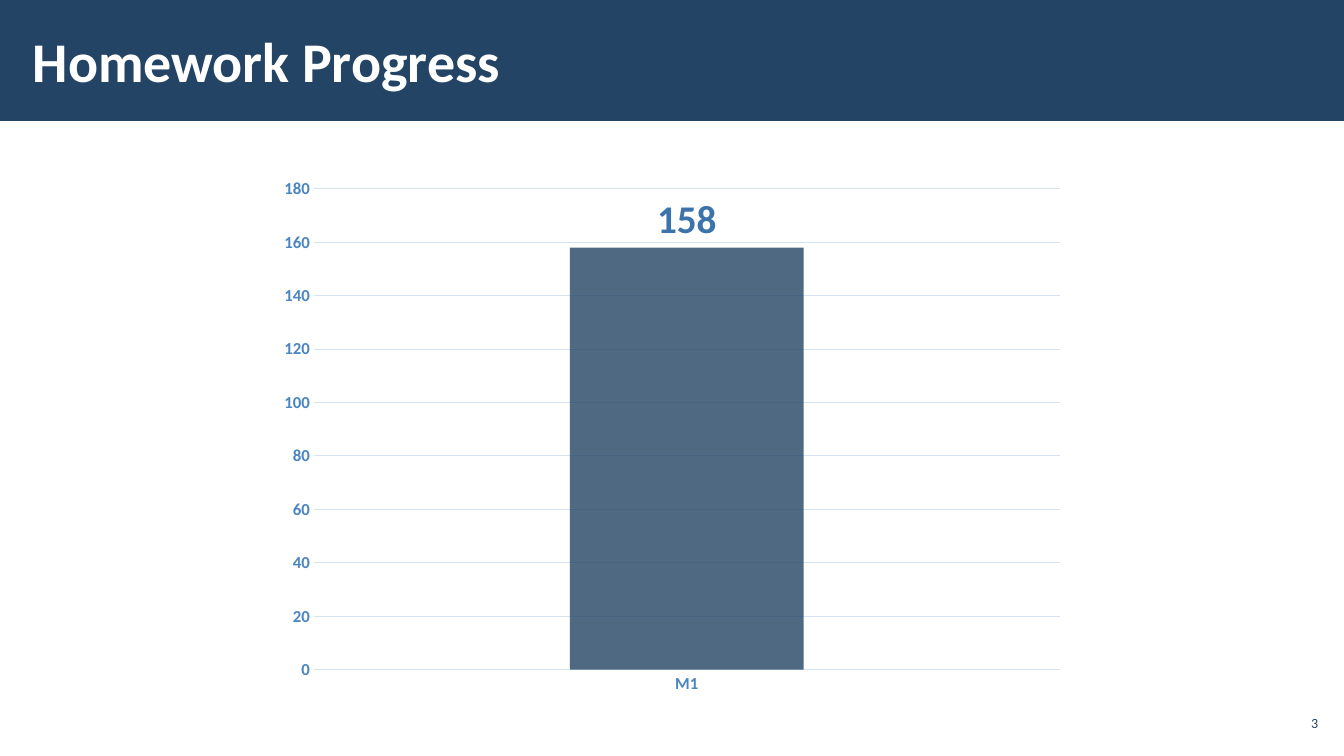
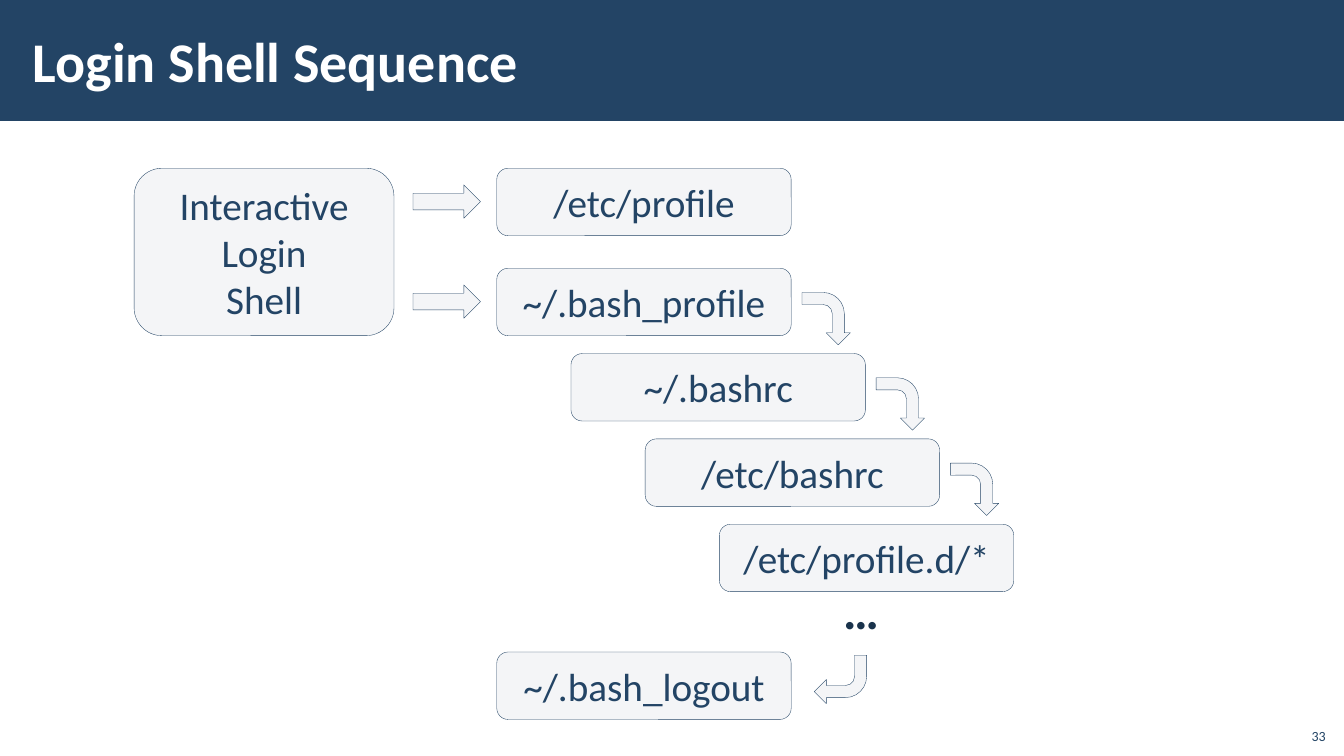
import dataclasses

import lxml.etree
import pptx
import pptx.chart.data
import pptx.dml.color
import pptx.enum.chart
import pptx.enum.shapes
import pptx.enum.text
import pptx.oxml.ns
import pptx.util

Cm = pptx.util.Cm
Pt = pptx.util.Pt
Color = pptx.dml.color.RGBColor.from_string
Shape = pptx.enum.shapes.MSO_SHAPE
Anchor = pptx.enum.text.MSO_ANCHOR
Align = pptx.enum.text.PP_ALIGN


@dataclasses.dataclass(frozen=True)
class Theme:
    font: str = "Calibri"
    navy: str = "234465"
    ink: str = "1A334C"
    white: str = "FFFFFF"
    panel: str = "F4F5F7"
    axis: str = "4A85C0"
    grid: str = "D5E3F1"
    value: str = "3B73AA"
    title_size: int = 40
    dots_size: int = 36
    body_size: int = 28
    axis_size: int = 12
    number_size: int = 10


theme = Theme()


def add_shape(slide, kind, left, top, width, height, fill, line=None):
    shape = slide.shapes.add_shape(kind, Cm(left), Cm(top), Cm(width), Cm(height))
    shape.shadow.inherit = False
    shape.fill.solid()
    shape.fill.fore_color.rgb = Color(fill)
    if line:
        shape.line.color.rgb = Color(line)
        shape.line.width = Pt(0.25)
    else:
        shape.line.fill.background()
    return shape


def write(shape, lines, size, color, align, anchor, bold=False, wrap=True):
    frame = shape.text_frame
    frame.word_wrap = wrap
    frame.vertical_anchor = anchor
    for index, line in enumerate(lines):
        paragraph = frame.add_paragraph() if index else frame.paragraphs[0]
        paragraph.alignment = align
        run = paragraph.add_run()
        run.text = line
        run.font.name = theme.font
        run.font.size = Pt(size)
        run.font.bold = bold
        run.font.color.rgb = Color(color)


presentation = pptx.Presentation()
presentation.slide_width = Cm(33.87)
presentation.slide_height = Cm(19.05)
blank_layout = presentation.slide_layouts[6]

pages = [
    ("Homework Progress", "3", (32.13, 17.78, 1.19, 0.86), Anchor.MIDDLE, 0.1),
    ("Login Shell Sequence", "33", (32.64, 18.08, 1.02, 0.81), Anchor.BOTTOM, 0.25),
]
slides = []
for title, number, number_place, number_anchor, number_inset in pages:
    slide = presentation.slides.add_slide(blank_layout)
    add_shape(slide, Shape.RECTANGLE, 0, 0, 33.87, 3.05, theme.navy)
    title_box = slide.shapes.add_textbox(Cm(0.53), Cm(0.28), Cm(27), Cm(2.46))
    title_box.text_frame.margin_left = title_box.text_frame.margin_right = Cm(0.3)
    write(title_box, [title], theme.title_size, theme.white, Align.LEFT, Anchor.MIDDLE, bold=True)
    number_box = slide.shapes.add_textbox(*map(Cm, number_place))
    number_box.text_frame.margin_left = number_box.text_frame.margin_right = Cm(number_inset)
    write(number_box, [number], theme.number_size, theme.navy, Align.RIGHT, number_anchor)
    slides.append(slide)
progress_slide, shell_slide = slides

chart_data = pptx.chart.data.CategoryChartData()
chart_data.categories = ["M1"]
chart_data.add_series("Series 1", [158])
chart = progress_slide.shapes.add_chart(
    pptx.enum.chart.XL_CHART_TYPE.COLUMN_CLUSTERED,
    Cm(6.76), Cm(4.24), Cm(20.35), Cm(13.51), chart_data,
).chart
chart.has_legend = False
chart.has_title = False
chart.font.name = theme.font
chart.font.size = Pt(theme.number_size)
chart.font.color.rgb = Color(theme.navy)

for axis in (chart.category_axis, chart.value_axis):
    axis.major_tick_mark = pptx.enum.chart.XL_TICK_MARK.NONE
    axis.minor_tick_mark = pptx.enum.chart.XL_TICK_MARK.NONE
    font = axis.tick_labels.font
    font.name = theme.font
    font.size = Pt(theme.axis_size)
    font.bold = True
    font.color.rgb = Color(theme.axis)
chart.value_axis.minimum_scale = 0
chart.value_axis.maximum_scale = 180
chart.value_axis.major_unit = 20
chart.value_axis.format.line.fill.background()
for line in (chart.category_axis.format.line, chart.value_axis.major_gridlines.format.line):
    line.color.rgb = Color(theme.grid)
    line.width = Pt(0.75)

plot = chart.plots[0]
plot.vary_by_categories = False
plot.gap_width = 219
plot.overlap = -27
series = plot.series[0]
series.format.fill.solid()
series.format.fill.fore_color.rgb = Color(theme.navy)
series_color = series.format.fill._xPr.find(".//" + pptx.oxml.ns.qn("a:srgbClr"))
lxml.etree.SubElement(series_color, pptx.oxml.ns.qn("a:alpha"), val="80000")
labels = series.data_labels
labels.show_value = True
labels.position = pptx.enum.chart.XL_LABEL_POSITION.OUTSIDE_END
labels.font.name = theme.font
labels.font.size = Pt(theme.body_size)
labels.font.bold = True
labels.font.color.rgb = Color(theme.value)

file_left, file_width, file_height = 12.52, 7.42, 1.7
profile_top, cascade_top, logout_top = 4.24, 6.76, 16.43
step_right, step_down = 1.87, 2.15
bend_width, bend_height = 1.32, 1.22

boxes = [
    (["Interactive", "Login", "Shell"], 3.38, profile_top, 6.55, 4.22),
    (["/etc/profile"], file_left, profile_top, file_width, file_height),
    (["~/.bash_logout"], file_left, logout_top, file_width, file_height),
]
bends = [(20.52, 16.51, 180)]
cascade = ["~/.bash_profile", "~/.bashrc", "/etc/bashrc", "/etc/profile.d/*"]
for index, name in enumerate(cascade):
    left = file_left + index * step_right
    top = cascade_top + index * step_down
    boxes.append(([name], left, top, file_width, file_height))
    if index < len(cascade) - 1:
        bends.append((left + file_width + 0.22, top + 0.66, 90))

for lines, *place in boxes:
    box = add_shape(shell_slide, Shape.ROUNDED_RECTANGLE, *place, theme.panel, theme.navy)
    write(box, lines, theme.body_size, theme.navy, Align.CENTER, Anchor.MIDDLE)

for top in (profile_top, cascade_top):
    add_shape(shell_slide, Shape.RIGHT_ARROW, 10.41, top + 0.42, 1.7, 0.84, theme.panel, theme.navy)

for left, top, rotation in bends:
    bend = add_shape(
        shell_slide, Shape.BENT_ARROW, left, top, bend_width, bend_height, theme.panel, theme.navy
    )
    bend.rotation = rotation

dots_box = shell_slide.shapes.add_textbox(Cm(21), Cm(14.48), Cm(1.42), Cm(1.8))
write(dots_box, ["…"], theme.dots_size, theme.ink, Align.LEFT, Anchor.TOP, bold=True, wrap=False)

presentation.save("out.pptx")
